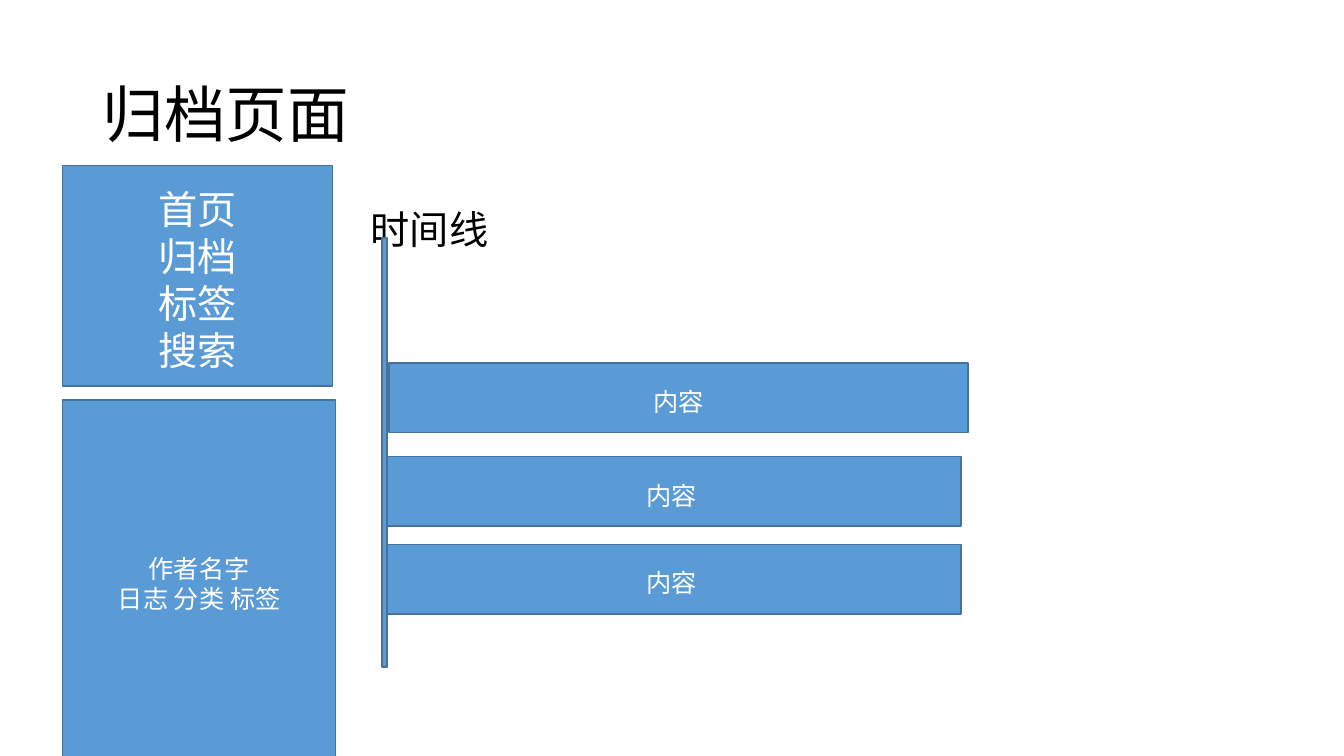
from pptx import Presentation
from pptx.dml.color import RGBColor
from pptx.enum.shapes import MSO_SHAPE as SHAPE
from pptx.enum.text import MSO_ANCHOR as ANCHOR, PP_ALIGN as ALIGN
from pptx.oxml.ns import qn
from pptx.util import Inches, Pt

FONT = "Noto Sans CJK SC"
BLUE, EDGE, WHITE, BLACK = "5B9BD5", "43739E", "FFFFFF", "000000"

TITLE = "归档页面"
HEADING = "时间线"
MENU = ["首页", "归档", "标签", "搜索"]
AUTHOR = ["作者名字", "日志 分类 标签"]
ENTRY = ["内容"]

SIDE_X = 0.62
LINE_X = 3.79
ENTRY_SIZE = (5.74, 0.69)
ENTRIES = [(LINE_X, 4.53), (LINE_X, 5.4)]
FRONT_ENTRY = (3.86, 3.6)


def color(value):
    return RGBColor.from_string(value)


def write(sp, lines, size, ink, align, anchor, leading):
    tf = sp.text_frame
    tf.word_wrap = True
    tf.vertical_anchor = anchor
    tf.margin_top = Inches(0.12)
    for i, line in enumerate(lines):
        p = tf.paragraphs[0] if i == 0 else tf.add_paragraph()
        p.alignment = align
        p.line_spacing = Pt(round(size * leading, 1))
        r = p.add_run()
        r.text = line
        r.font.size = Pt(size)
        r.font.name = FONT
        r.font.color.rgb = color(ink)
        ea = r.font._element.makeelement(qn("a:ea"), {"typeface": FONT})
        r.font._element.find(qn("a:latin")).addnext(ea)


def label(text, box, size, anchor):
    sp = s.shapes.add_textbox(*map(Inches, box))
    write(sp, [text], size, BLACK, ALIGN.LEFT, anchor, 1.08)


def block(box, lines=(), size=18):
    sp = s.shapes.add_shape(SHAPE.RECTANGLE, *map(Inches, box))
    sp.shadow.inherit = False
    sp.fill.solid()
    sp.fill.fore_color.rgb = color(BLUE)
    sp.line.color.rgb = color(EDGE)
    sp.line.width = Pt(1)
    write(sp, lines, size, WHITE, ALIGN.CENTER, ANCHOR.MIDDLE, 1.2)


prs = Presentation()
prs.slide_width, prs.slide_height = Inches(13.33), Inches(7.5)
s = prs.slides.add_slide(prs.slide_layouts[6])

label(TITLE, (0.92, 0.4, 11.5, 1.45), 44, ANCHOR.MIDDLE)
label(HEADING, (3.58, 1.96, 8.84, 4.76), 28, ANCHOR.TOP)
for place in ENTRIES:
    block(place + ENTRY_SIZE, ENTRY)
block((LINE_X, 2.36, 0.05, 4.26))
block((SIDE_X, 1.64, 2.68, 2.19), MENU, 28)
block((SIDE_X, 3.97, 2.71, 3.57), AUTHOR)
block(FRONT_ENTRY + ENTRY_SIZE, ENTRY)

prs.save("out.pptx")
